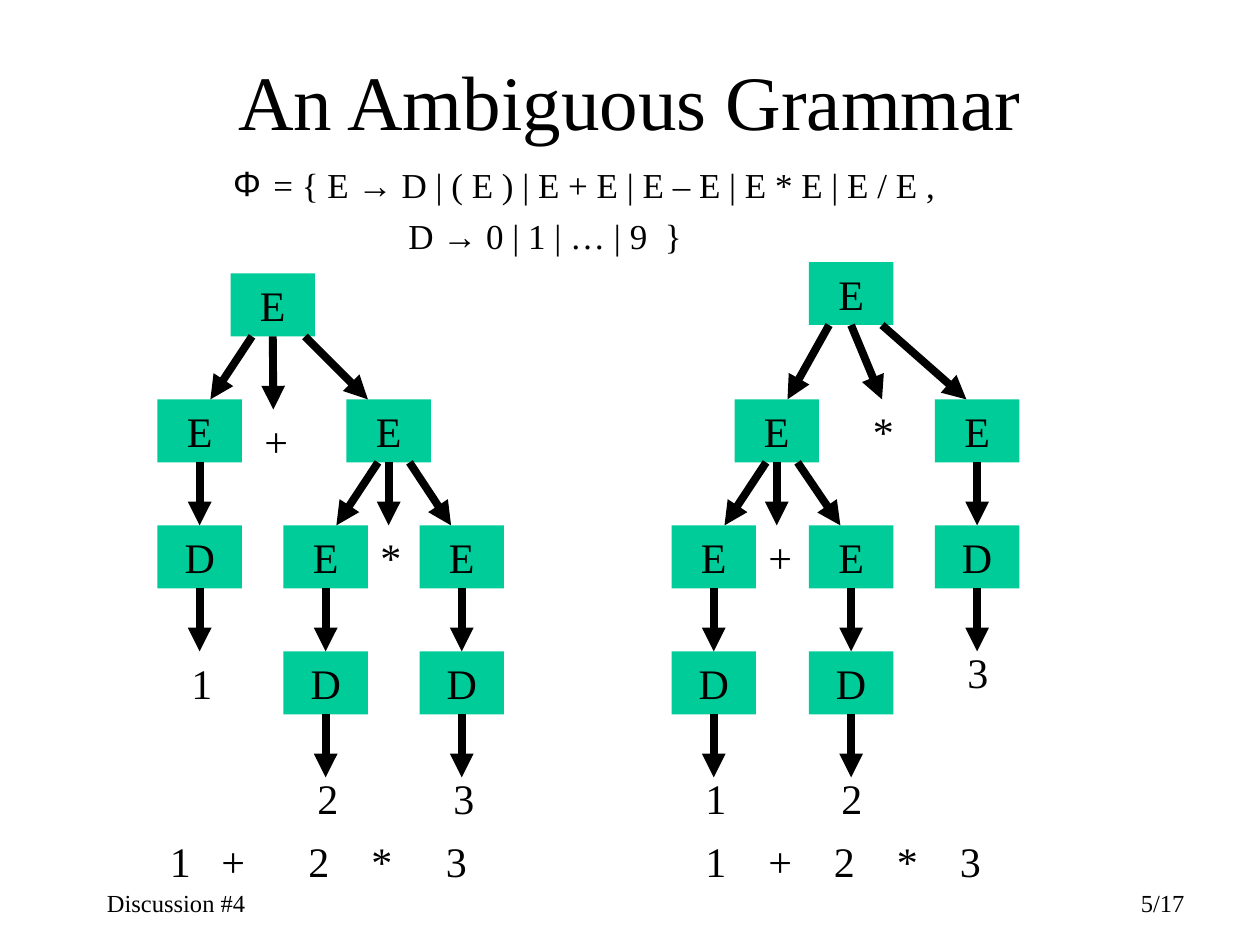
from lxml import etree
from pptx import Presentation
from pptx.dml.color import RGBColor
from pptx.enum import shapes, text
from pptx.oxml import ns
from pptx.util import Inches, Pt

BLACK = RGBColor(0x00, 0x00, 0x00)
GREEN = RGBColor(0x00, 0xCC, 0x99)
SERIF = "Times New Roman"
SANS = "Arial"
NODE_WIDTH = 0.67
NODE_HEIGHT = 0.5
ARROW_LENGTH = 0.5
ROOT_TO_CHILD = 1.0

LEFT_TREE = {
    "nodes": [("E", 1.83, 2.17), ("E", 1.25, 3.17), ("E", 2.75, 3.17),
              ("D", 1.25, 4.17), ("E", 2.25, 4.17), ("E", 3.33, 4.17),
              ("D", 2.25, 5.17), ("D", 3.33, 5.17)],
    "root_tip": (2.17, 3.25),
    "branches": [(2, 2.67, 1.67, 3.17), (2.42, 2.67, 2.92, 3.17),
                 (3, 3.67, 2.67, 4.17), (3.25, 3.67, 3.58, 4.17)],
    "symbols": [("+", 2, 3.25), ("*", 2.92, 4.17), ("1", 1.42, 5.17),
                ("2", 2.42, 6.08), ("3", 3.5, 6.08)],
    "sentence": (1.25, "1\t+\t2\t*\t3", [0.41, 1.1, 1.6, 2.19]),
}
RIGHT_TREE = {
    "nodes": [("E", 6.42, 2.08), ("E", 5.83, 3.17), ("E", 7.42, 3.17),
              ("E", 5.33, 4.17), ("E", 6.42, 4.17), ("D", 7.42, 4.17),
              ("D", 5.33, 5.17), ("D", 6.42, 5.17)],
    "root_tip": (7, 3.17),
    "branches": [(6.58, 2.58, 6.25, 3.17), (7, 2.58, 7.67, 3.17),
                 (6.08, 3.67, 5.75, 4.17), (6.33, 3.67, 6.67, 4.17)],
    "symbols": [("*", 6.83, 3.17), ("+", 6, 4.17), ("1", 5.5, 6.08),
                ("2", 6.58, 6.08), ("3", 7.58, 5.08)],
    "sentence": (5.5, "1\t+\t2\t*\t3", [0.5, 1.02, 1.52, 2.02]),
}


def place(shape, left, top, width, height):
    shape.left, shape.top = Inches(left), Inches(top)
    shape.width, shape.height = Inches(width), Inches(height)


def style_span(span, size, font=SERIF):
    span.font.size = Pt(size)
    span.font.name = font
    span.font.color.rgb = BLACK


def write(shape, wording, size, align=text.PP_ALIGN.LEFT, anchor=text.MSO_ANCHOR.TOP):
    frame = shape.text_frame
    frame.text = wording
    frame.word_wrap = True
    frame.auto_size = text.MSO_AUTO_SIZE.NONE
    frame.vertical_anchor = anchor
    para = frame.paragraphs[0]
    para.alignment = align
    for span in para.runs:
        style_span(span, size)
    return para


def add_label(parent, wording, left, top, width, height, size, align=text.PP_ALIGN.LEFT):
    box = parent.add_textbox(Inches(left), Inches(top), Inches(width), Inches(height))
    return write(box, wording, size, align)


def add_node(group, label, left, top):
    node = group.add_shape(shapes.MSO_SHAPE.RECTANGLE, Inches(left), Inches(top),
                           Inches(NODE_WIDTH), Inches(NODE_HEIGHT))
    node.shadow.inherit = False
    node.fill.solid()
    node.fill.fore_color.rgb = GREEN
    node.line.fill.background()
    write(node, label, 24, text.PP_ALIGN.CENTER)
    return node


def add_arrow(group, x1, y1, x2, y2):
    arrow = group.add_connector(shapes.MSO_CONNECTOR.STRAIGHT,
                                Inches(x1), Inches(y1), Inches(x2), Inches(y2))
    arrow.line.color.rgb = BLACK
    arrow.line.width = Pt(4.5)
    etree.SubElement(arrow.line._get_or_add_ln(), ns.qn("a:tailEnd"), type="triangle")
    etree.SubElement(arrow._element.spPr, ns.qn("a:effectLst"))
    return arrow


def set_tab_stops(para, stops):
    tabs = etree.SubElement(para._p.get_or_add_pPr(), ns.qn("a:tabLst"))
    for stop in stops:
        etree.SubElement(tabs, ns.qn("a:tab"), pos=str(Inches(stop)), algn="l")


def add_tree(page, tree):
    group = page.shapes.add_group_shape().shapes
    nodes = {(left, top): add_node(group, label, left, top)
             for label, left, top in tree["nodes"]}
    root = tree["nodes"][0][1:]
    for (left, top), node in nodes.items():
        x, y = left + NODE_WIDTH / 2, top + NODE_HEIGHT
        tip = tree["root_tip"] if (left, top) == root else (x, y + ARROW_LENGTH)
        arrow = add_arrow(group, x, y, *tip)
        arrow.begin_connect(node, 2)
        child = nodes.get((left, round(top + ROOT_TO_CHILD, 2)))
        if child is not None:
            arrow.end_connect(child, 0)
    for branch in tree["branches"]:
        add_arrow(group, *branch)
    for symbol, left, top in tree["symbols"]:
        add_label(group, symbol, left, top, 0.42, 0.5, 24)
    left, sentence, stops = tree["sentence"]
    para = add_label(group, sentence, left, 6.58, 2.83, 0.5, 24)
    set_tab_stops(para, stops)


def write_rule(para, wording, margin, indent, bullet=None):
    para.level = 1
    para.space_before = Pt(5)
    properties = para._p.get_or_add_pPr()
    properties.set("marL", str(Inches(margin)))
    properties.set("indent", str(Inches(indent)))
    if bullet:
        etree.SubElement(properties, ns.qn("a:buFont"), typeface=SANS)
        etree.SubElement(properties, ns.qn("a:buChar"), char=bullet)
    else:
        etree.SubElement(properties, ns.qn("a:buNone"))
    before, after = wording.split("→")
    for piece, font in ((before, SERIF), ("→", SANS), (after, SERIF)):
        span = para.add_run()
        span.text = piece
        style_span(span, 20, font)


def add_grammar(body):
    place(body, 1.5, 1.25, 6.42, 0.84)
    frame = body.text_frame
    frame.word_wrap = True
    frame.auto_size = text.MSO_AUTO_SIZE.NONE
    write_rule(frame.paragraphs[0], " = { E → D | ( E ) | E + E | E – E | E * E | E / E ,",
               0.5, -0.25, "Φ")
    write_rule(frame.add_paragraph(), "D → 0 | 1 | … | 9  }", 1.64, 0)


def main():
    deck = Presentation()
    deck.slide_width, deck.slide_height = Inches(10), Inches(7.5)
    page = deck.slides.add_slide(deck.slide_layouts[1])
    title, body = page.placeholders
    place(title, 0.75, 0.17, 8.5, 1.25)
    write(title, "An Ambiguous Grammar", 44, text.PP_ALIGN.CENTER, text.MSO_ANCHOR.MIDDLE)
    add_grammar(body)
    add_label(page.shapes, "Discussion #4", 0.75, 7, 2.08, 0.33, 14)
    add_label(page.shapes, "5/17", 7.42, 7, 2.08, 0.33, 14, text.PP_ALIGN.RIGHT)
    for tree in (LEFT_TREE, RIGHT_TREE):
        add_tree(page, tree)
    deck.save("out.pptx")


if __name__ == "__main__":
    main()
